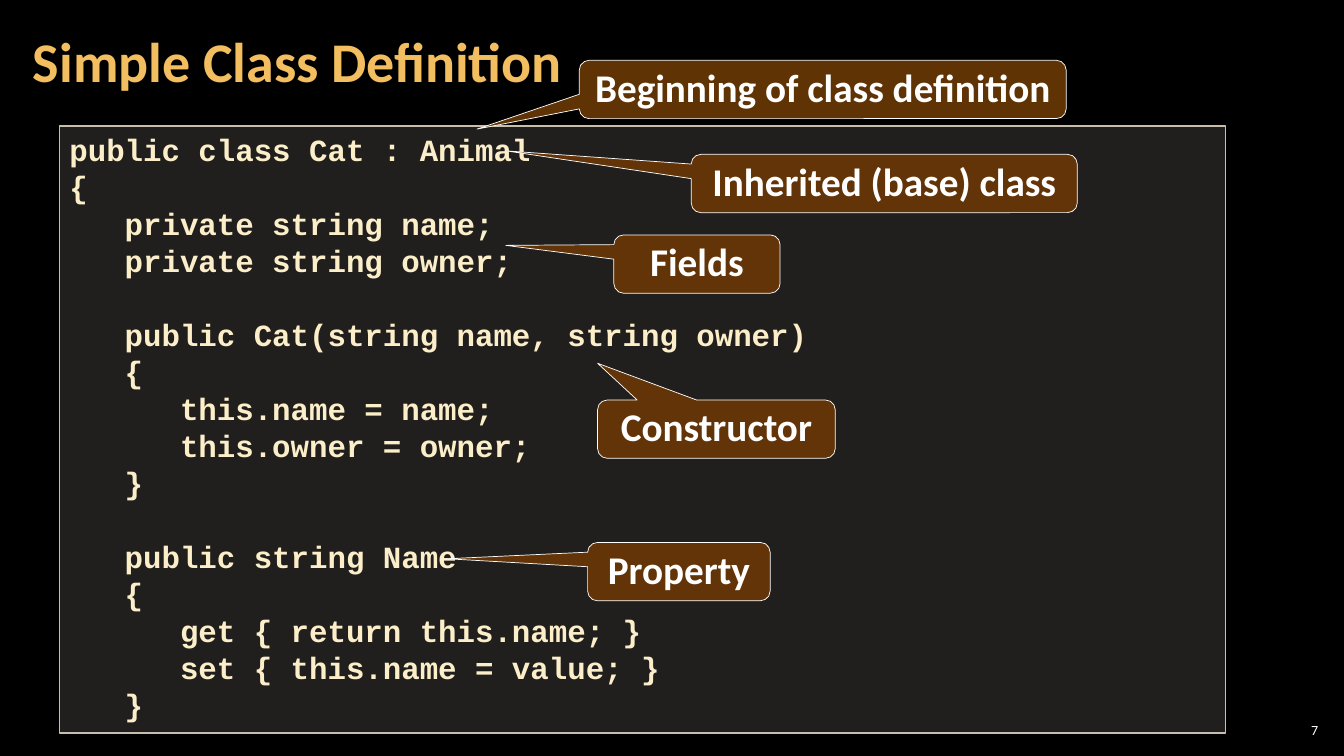
import pptx
import pptx.dml.color
import pptx.enum.shapes
import pptx.enum.text
import pptx.util
from lxml import etree
from pptx.oxml.ns import qn

Cm, Pt = pptx.util.Cm, pptx.util.Pt
RGBColor = pptx.dml.color.RGBColor
SHAPE = pptx.enum.shapes.MSO_SHAPE
ALIGN = pptx.enum.text.PP_ALIGN
ANCHOR = pptx.enum.text.MSO_ANCHOR

BLACK = RGBColor(0x00, 0x00, 0x00)
WHITE = RGBColor(0xFF, 0xFF, 0xFF)
GOLD = RGBColor(0xF3, 0xBE, 0x60)
CREAM = RGBColor(0xFB, 0xEE, 0xC9)
PANEL = RGBColor(0xD9, 0xD5, 0xC7)
PANEL_EDGE = RGBColor(0xC7, 0xBF, 0xAC)
BROWN = RGBColor(0x66, 0x36, 0x06)

CODE = """public class Cat : Animal
{
   private string name;
   private string owner;

   public Cat(string name, string owner)
   {
      this.name = name;
      this.owner = owner;
   }

   public string Name
   {
      get { return this.name; }
      set { this.name = value; }
   }"""

# text, left, top, width, pointer x, pointer y
CALLOUTS = [
    ("Fields", 15.47, 5.92, 4.19, -1.15, -0.32),
    ("Constructor", 15.06, 10.08, 5.99, -0.5, -1.13),
    ("Property", 14.81, 13.67, 4.6, -1.27, -0.22),
    ("Beginning of class definition", 14.6, 1.52, 12.27, -0.71, 0.68),
    ("Inherited (base) class", 17.42, 3.89, 9.73, -0.98, -0.56),
]


def style_box(shape, fill, opacity, edge, edge_width):
    """Give a shape a see-through fill and a thin edge, with text from the top."""
    shape.shadow.inherit = False
    shape.fill.solid()
    shape.fill.fore_color.rgb = fill
    color = shape.fill._xPr.find(qn("a:solidFill"))[0]
    etree.SubElement(color, qn("a:alpha"), val=str(opacity * 1000))
    shape.line.color.rgb = edge
    shape.line.width = Pt(edge_width)
    shape.text_frame.vertical_anchor = ANCHOR.TOP


def write(frame, text, font, size, color, align, bold=True):
    frame.word_wrap = True
    frame.text = text
    for paragraph in frame.paragraphs:
        paragraph.alignment = align
        paragraph.font.size = Pt(size)
        for run in paragraph.runs:
            run.font.name = font
            run.font.size = Pt(size)
            run.font.bold = bold
            run.font.color.rgb = color


deck = pptx.Presentation()
deck.slide_width, deck.slide_height = Cm(33.87), Cm(19.05)
slide = deck.slides.add_slide(deck.slide_layouts[6])
slide.background.fill.solid()
slide.background.fill.fore_color.rgb = BLACK

page_number = slide.shapes.add_textbox(Cm(32.13), Cm(18.14), Cm(1.19), Cm(0.53)).text_frame
page_number.margin_left = page_number.margin_right = Cm(0.1)
page_number.margin_top = page_number.margin_bottom = Cm(0.1)
page_number.vertical_anchor = ANCHOR.MIDDLE
write(page_number, "7", "Calibri", 10, WHITE, ALIGN.RIGHT, bold=False)

title = slide.shapes.add_textbox(Cm(0.53), Cm(0.1), Cm(26.59), Cm(3.07)).text_frame
title.margin_left = title.margin_right = Cm(0.3)
title.margin_top = title.margin_bottom = Cm(0.1)
title.vertical_anchor = ANCHOR.MIDDLE
write(title, "Simple Class Definition", "Calibri", 40, GOLD, ALIGN.LEFT)
title.paragraphs[0].line_spacing = 0.9

code_panel = slide.shapes.add_shape(SHAPE.RECTANGLE, Cm(1.5), Cm(3.18), Cm(29.39), Cm(15.29))
style_box(code_panel, PANEL, 15, PANEL_EDGE, 1)
write(code_panel.text_frame, CODE, "Courier New", 22, CREAM, ALIGN.LEFT)

for text, left, top, width, pointer_x, pointer_y in CALLOUTS:
    callout = slide.shapes.add_shape(
        SHAPE.ROUNDED_RECTANGULAR_CALLOUT, Cm(left), Cm(top), Cm(width), Cm(1.47))
    callout.adjustments[0] = pointer_x
    callout.adjustments[1] = pointer_y
    style_box(callout, BROWN, 95, WHITE, 0.5)
    write(callout.text_frame, text, "Calibri", 28, WHITE, ALIGN.CENTER)
    callout.text_frame.paragraphs[0].line_spacing = Pt(30)

deck.save("out.pptx")
